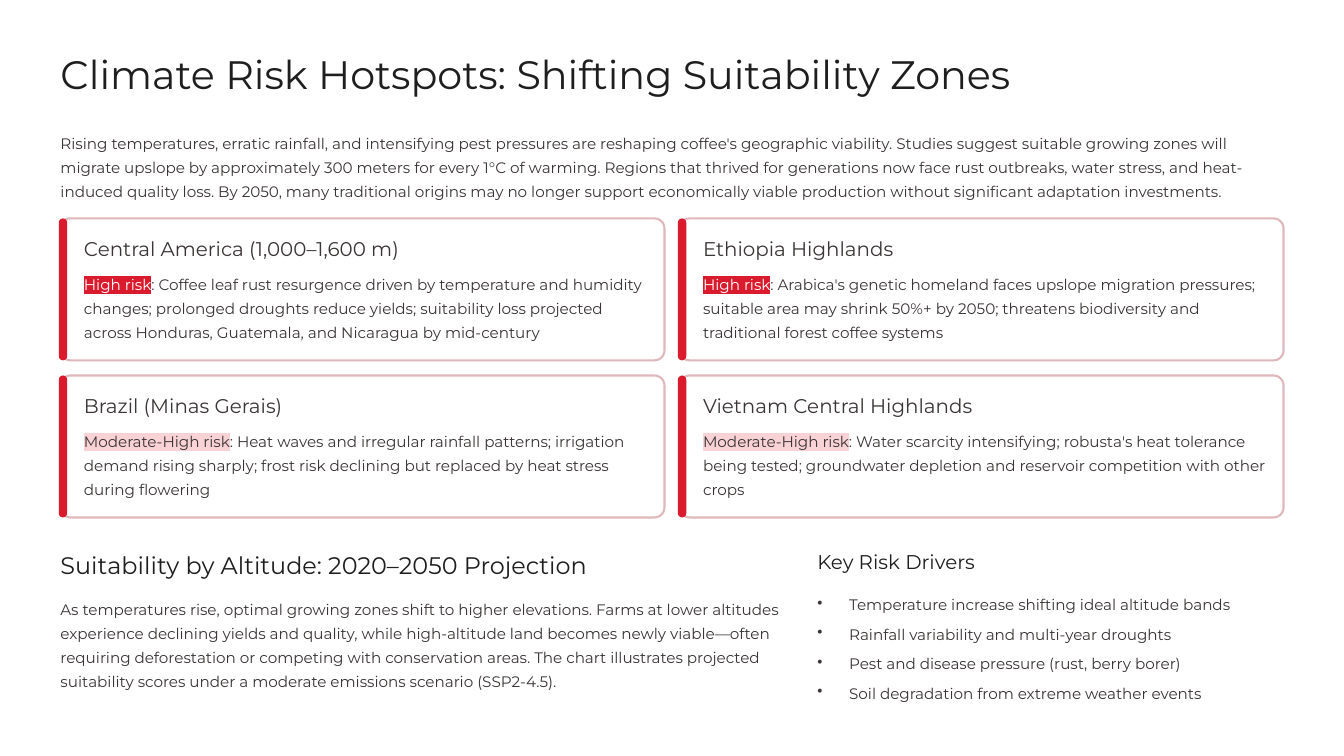
"""Build the slide on climate risk hotspots for coffee growing."""
from lxml import etree
from pptx import Presentation
from pptx.dml.color import RGBColor
from pptx.enum import shapes, text
from pptx.oxml.ns import qn
from pptx.util import Inches, Pt

INK, BODY, RED, PINK, BORDER, WHITE = "1F1E1E", "3B3535", "DA1B2E", "F9D2D6", "DFB8BC", "FFFFFF"


def rgb(value):
    """Turn a hex string into a colour."""
    return RGBColor.from_string(value)


def write(shape, box, paragraphs, size, color, spacing):
    """Place a text shape and fill it with paragraphs, each a list of run texts."""
    shape.left, shape.top, shape.width, shape.height = [Inches(length) for length in box]
    frame = shape.text_frame
    frame.margin_left = frame.margin_top = frame.margin_right = frame.margin_bottom = 0
    frame.auto_size = text.MSO_AUTO_SIZE.NONE
    frame.vertical_anchor = text.MSO_ANCHOR.TOP
    frame.word_wrap = True
    for index, run_texts in enumerate(paragraphs):
        paragraph = frame.add_paragraph() if index else frame.paragraphs[0]
        paragraph.alignment = text.PP_ALIGN.LEFT
        paragraph.line_spacing = Pt(spacing)
        for run_text in run_texts:
            run = paragraph.add_run()
            run.text = run_text
            run.font.size = Pt(size)
            run.font.name = "Montserrat"
            run.font.color.rgb = rgb(color)
    return frame


presentation = Presentation()
presentation.slide_width = Inches(16)
presentation.slide_height = Inches(9)
slide = presentation.slides.add_slide(presentation.slide_layouts[5])
slide.background.fill.solid()
slide.background.fill.fore_color.rgb = rgb(WHITE)

write(slide.shapes.title, (0.72, 0.57, 11.89, 0.6),
      [["Climate Risk Hotspots: Shifting Suitability Zones"]], 34, INK, 42.5)

introduction = (
    "Rising temperatures, erratic rainfall, and intensifying pest pressures are reshaping coffee's "
    "geographic viability. Studies suggest suitable growing zones will migrate upslope by approximately "
    "300 meters for every 1°C of warming. Regions that thrived for generations now face rust outbreaks, "
    "water stress, and heat-induced quality loss. By 2050, many traditional origins may no longer support "
    "economically viable production without significant adaptation investments.")
projection = (
    "As temperatures rise, optimal growing zones shift to higher elevations. Farms at lower altitudes "
    "experience declining yields and quality, while high-altitude land becomes newly viable—often "
    "requiring deforestation or competing with conservation areas. The chart illustrates projected "
    "suitability scores under a moderate emissions scenario (SSP2-4.5).")
drivers = [
    "Temperature increase shifting ideal altitude bands",
    "Rainfall variability and multi-year droughts",
    "Pest and disease pressure (rust, berry borer)",
    "Soil degradation from extreme weather events",
]
regions = [
    ("Central America (1,000–1,600 m)", "High risk",
     ": Coffee leaf rust resurgence driven by temperature and humidity changes; prolonged droughts reduce "
     "yields; suitability loss projected across Honduras, Guatemala, and Nicaragua by mid-century"),
    ("Ethiopia Highlands", "High risk",
     ": Arabica's genetic homeland faces upslope migration pressures; suitable area may shrink 50%+ by "
     "2050; threatens biodiversity and traditional forest coffee systems"),
    ("Brazil (Minas Gerais)", "Moderate-High risk",
     ": Heat waves and irregular rainfall patterns; irrigation demand rising sharply; frost risk "
     "declining but replaced by heat stress during flowering"),
    ("Vietnam Central Highlands", "Moderate-High risk",
     ": Water scarcity intensifying; robusta's heat tolerance being tested; groundwater depletion and "
     "reservoir competition with other crops"),
]
risk_colors = {"High risk": (WHITE, RED), "Moderate-High risk": (BODY, PINK)}

for box, content, size, color, spacing in [
    ((0.72, 1.53, 14.55, 0.87), introduction, 13, BODY, 20.5),
    ((0.72, 6.54, 6.67, 0.36), "Suitability by Altitude: 2020–2050 Projection", 20.5, INK, 25.5),
    ((0.72, 7.08, 8.55, 1.16), projection, 13, BODY, 20.5),
    ((9.73, 6.54, 2.38, 0.3), "Key Risk Drivers", 17, INK, 21),
]:
    write(slide.shapes.add_textbox(0, 0, 0, 0), box, [[content]], size, color, spacing)

for index, (region, risk, detail) in enumerate(regions):
    row, column = divmod(index, 2)
    left = 0.72 + 7.37 * column
    top = 2.6 + 1.87 * row
    for offset, width, rounding, fill in [(0, 7.19, 0.07, WHITE), (-0.02, 0.1, 0.5, RED)]:
        panel = slide.shapes.add_shape(shapes.MSO_SHAPE.ROUNDED_RECTANGLE, Inches(left + offset),
                                       Inches(top), Inches(width), Inches(1.69))
        panel.adjustments[0] = rounding
        panel.shadow.inherit = False
        panel.fill.solid()
        panel.fill.fore_color.rgb = rgb(fill)
        if fill == WHITE:
            panel.line.color.rgb = rgb(BORDER)
            panel.line.width = Pt(1.8)
        else:
            panel.line.fill.background()
    write(slide.shapes.add_textbox(0, 0, 0, 0), (left + 0.28, top + 0.21, 6.7, 0.3),
          [[region]], 17, BODY, 21)
    frame = write(slide.shapes.add_textbox(0, 0, 0, 0), (left + 0.28, top + 0.61, 6.7, 0.87),
                  [[risk, detail]], 13, BODY, 20.5)
    label = frame.paragraphs[0].runs[0]
    label_color, highlight_color = risk_colors[risk]
    label.font.color.rgb = rgb(label_color)
    highlight = etree.Element(qn("a:highlight"))
    etree.SubElement(highlight, qn("a:srgbClr"), val=highlight_color)
    label.font.fill
    label._r.rPr.find(qn("a:solidFill")).addnext(highlight)

driver_frame = write(slide.shapes.add_textbox(0, 0, 0, 0), (9.73, 7.02, 5.56, 1.35),
                     [[driver] for driver in drivers], 13, BODY, 20.5)
for index, paragraph in enumerate(driver_frame.paragraphs):
    properties = paragraph._p.get_or_add_pPr()
    properties.set("marL", str(Inches(0.38)))
    properties.set("indent", str(-Inches(0.38)))
    etree.SubElement(properties, qn("a:buChar"), char="•")
    if index:
        paragraph.space_before = Pt(4.9)

presentation.save("out.pptx")
